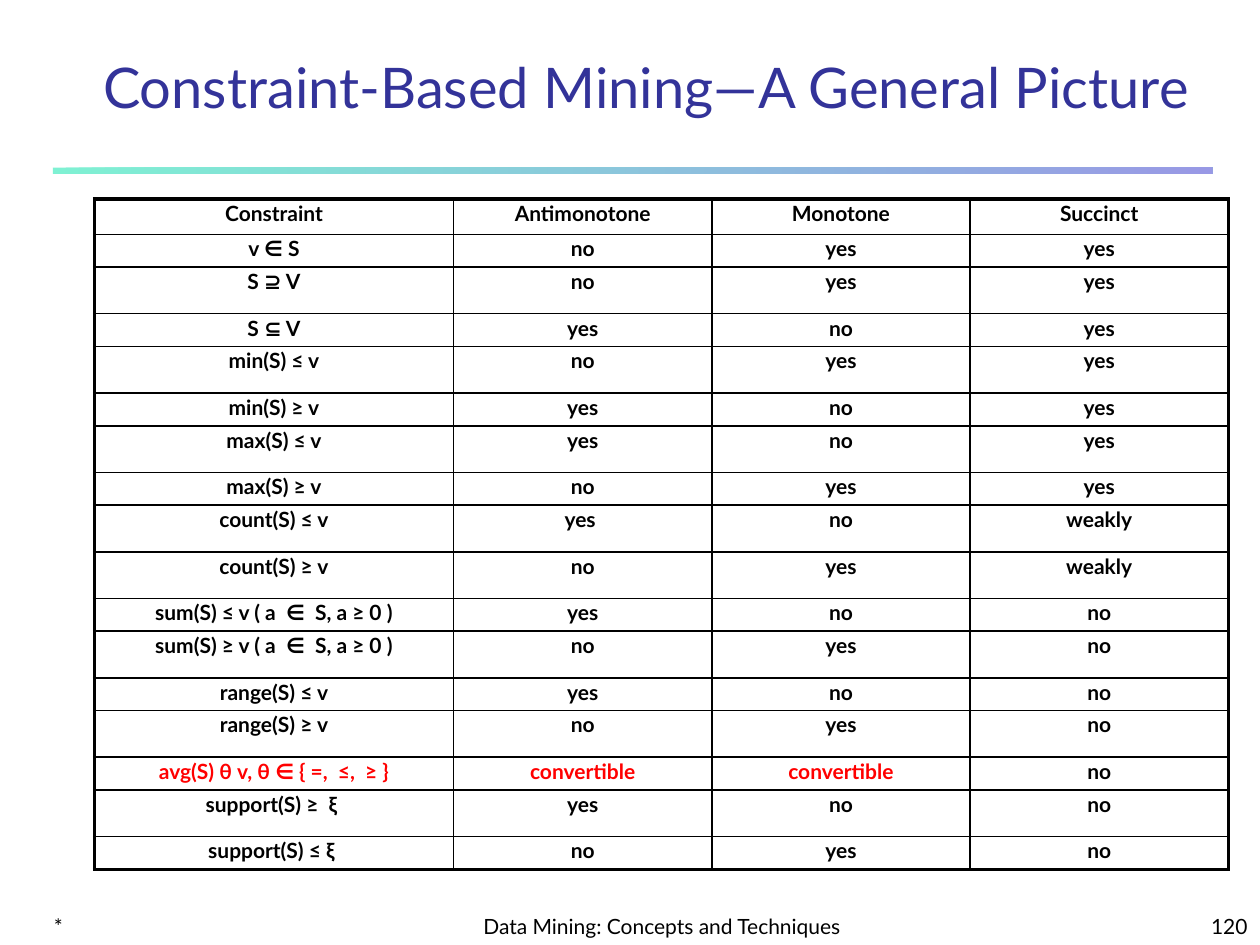
from lxml import etree
from pptx import Presentation, util as u
from pptx.dml.color import RGBColor
from pptx.enum import shapes, text
from pptx.oxml import ns

COLORS = {"ink": "000000", "title": "333399", "accent": "FF0000",
          "bar_start": "00E4A8", "bar_end": "3333CC"}
ALIGN = text.PP_ALIGN
FONT = "Lato"

deck = Presentation()
deck.slide_width, deck.slide_height = u.Inches(10), u.Inches(7.5)
page = deck.slides.add_slide(deck.slide_layouts[5])


def write(frame, words, align, size=12, color="ink", bold=False, spacing=None):
    """Put one formatted line into a text frame."""
    frame.word_wrap = True
    para = frame.paragraphs[0]
    para.alignment, para.line_spacing = align, spacing
    span = para.add_run()
    span.text = words
    look = {"name": FONT, "size": u.Pt(size), "bold": bold}
    for key, value in look.items():
        setattr(span.font, key, value)
    span.font.color.rgb = RGBColor.from_string(COLORS[color])


def add_border(cell, side, width):
    """Draw one solid edge of a table cell."""
    edge = etree.SubElement(cell._tc.get_or_add_tcPr(), ns.qn(f"a:ln{side}"),
                            w=str(u.Pt(width)))
    fill = etree.SubElement(edge, ns.qn("a:solidFill"))
    etree.SubElement(fill, ns.qn("a:srgbClr"), val=COLORS["ink"])


# Gradient bar under the title
bar = page.shapes.add_shape(shapes.MSO_SHAPE.RECTANGLE, u.Inches(0.42),
                            u.Inches(1.33), u.Inches(9.2), u.Inches(0.05))
bar.shadow.inherit = False
bar.line.fill.background()
bar.fill.gradient()
bar.fill.gradient_angle = 0
for stop, name, position in zip(bar.fill.gradient_stops, ("bar_start", "bar_end"), (0, 1)):
    stop.position = position
    stop.color.rgb = RGBColor.from_string(COLORS[name])
for tint in bar._element.spPr.iter(ns.qn("a:srgbClr")):
    etree.SubElement(tint, ns.qn("a:alpha"), val="50000")

# Footer: date, deck name, page number
footers = [(0.33, 2.08, "*", ALIGN.LEFT),
           (3.67, 3.17, "Data Mining: Concepts and Techniques", ALIGN.CENTER),
           (7.92, 2.08, "120", ALIGN.RIGHT)]
for left, width, words, align in footers:
    box = page.shapes.add_textbox(u.Inches(left), u.Inches(7.08),
                                  u.Inches(width), u.Inches(0.42))
    box.text_frame.vertical_anchor = text.MSO_ANCHOR.BOTTOM
    write(box.text_frame, words, align)

# Title
title = page.shapes.title
place = {"left": 0.42, "top": 0.25, "width": 9.42, "height": 0.75}
for key, value in place.items():
    setattr(title, key, u.Inches(value))
title.text_frame.auto_size = text.MSO_AUTO_SIZE.NONE
title.text_frame.vertical_anchor = text.MSO_ANCHOR.BOTTOM
write(title.text_frame, "Constraint-Based Mining—A General Picture",
      ALIGN.CENTER, 32, "title")

# Constraint table
rows = [
    ("Constraint", "Antimonotone", "Monotone", "Succinct"),
    ("v ∈ S", "no", "yes", "yes"),
    ("S ⊇ V", "no", "yes", "yes"),
    ("S ⊆ V", "yes", "no", "yes"),
    ("min(S) ≤ v", "no", "yes", "yes"),
    ("min(S) ≥ v", "yes", "no", "yes"),
    ("max(S) ≤ v", "yes", "no", "yes"),
    ("max(S) ≥ v", "no", "yes", "yes"),
    ("count(S) ≤ v", "yes ", "no", "weakly"),
    ("count(S) ≥ v", "no", "yes", "weakly"),
    ("sum(S) ≤ v ( a  ∈  S, a ≥ 0 )", "yes", "no", "no"),
    ("sum(S) ≥ v ( a  ∈  S, a ≥ 0 )", "no", "yes", "no"),
    ("range(S) ≤ v", "yes", "no", "no"),
    ("range(S) ≥ v", "no", "yes", "no"),
    ("avg(S) θ v, θ ∈ { =,  ≤,  ≥ }", "convertible", "convertible", "no"),
    ("support(S) ≥  ξ ", "yes", "no", "no"),
    ("support(S) ≤ ξ ", "no", "yes", "no"),
]
widths = [2.85, 2.05, 2.05, 2.05]
tall_rows = {2, 4, 6, 8, 9, 11, 13, 15}
heights = [0.28] + [0.37 if r in tall_rows else 0.26 for r in range(1, len(rows))]
last_row, last_column = len(rows) - 1, len(widths) - 1

table = page.shapes.add_table(len(rows), len(widths), u.Inches(0.75), u.Inches(1.58),
                              u.Inches(sum(widths)), u.Inches(sum(heights))).table
table.first_row = table.horz_banding = False
for column, width in zip(table.columns, widths):
    column.width = u.Inches(width)
for r, (words_in_row, height) in enumerate(zip(rows, heights)):
    table.rows[r].height = u.Inches(height)
    for c, words in enumerate(words_in_row):
        cell = table.cell(r, c)
        # Heavy outer frame, thin inner lines
        outer = {"L": c == 0, "R": c == last_column, "T": r == 0, "B": r == last_row}
        for side, is_outer in outer.items():
            add_border(cell, side, 2.25 if is_outer else 1)
        cell.fill.background()
        convertible = "convertible" in words_in_row and c < last_column
        write(cell.text_frame, words, ALIGN.CENTER, bold=True, spacing=0.8,
              color="accent" if convertible else "ink")

deck.save("out.pptx")
